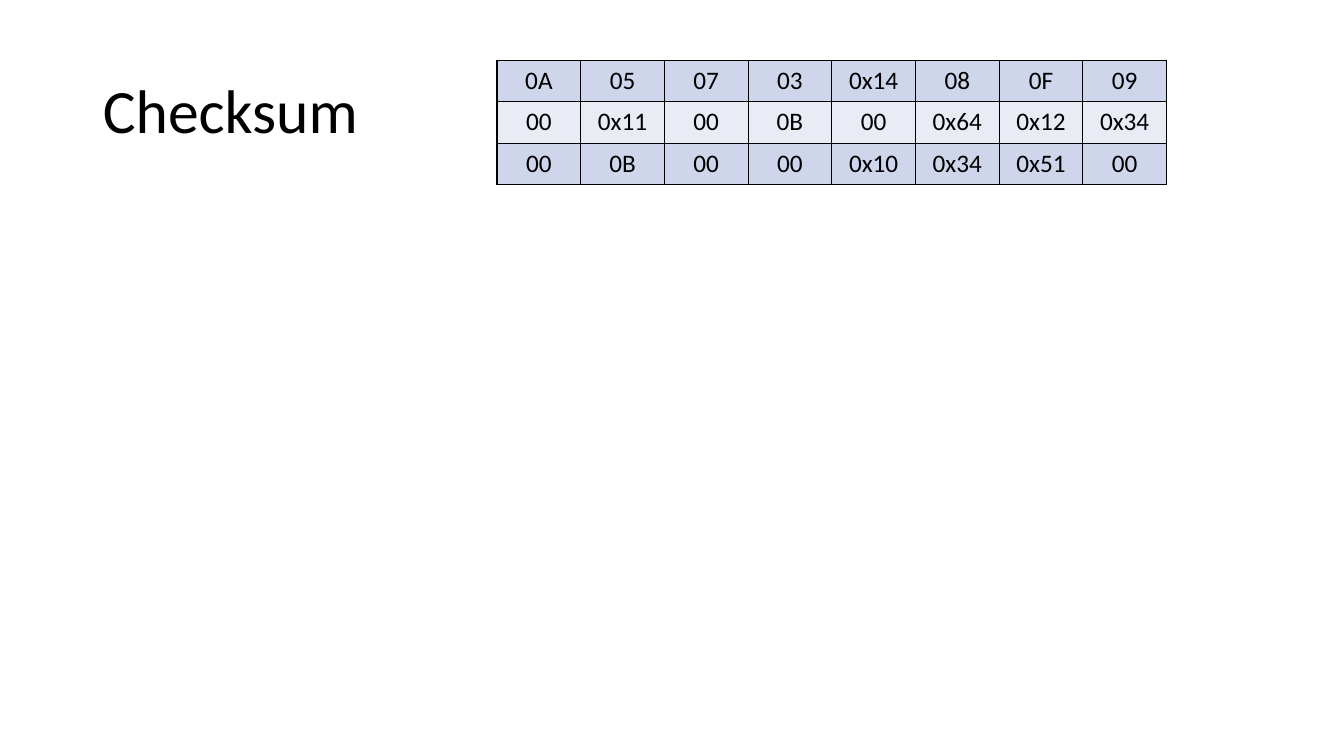
"""Build the Checksum slide: a title beside a grid of hexadecimal bytes."""
from dataclasses import dataclass

from lxml.etree import SubElement
from pptx import Presentation
from pptx.dml.color import RGBColor
from pptx.enum.text import MSO_ANCHOR, MSO_AUTO_SIZE, PP_ALIGN
from pptx.oxml.ns import qn
from pptx.slide import Slide
from pptx.table import _Cell as Cell
from pptx.text.text import _Paragraph as Paragraph
from pptx.util import Emu, Pt

EMU_PER_PX = 9144
BLACK = RGBColor(0x00, 0x00, 0x00)
BAND_DARK = RGBColor(0xCF, 0xD5, 0xEA)
BAND_LIGHT = RGBColor(0xE9, 0xEB, 0xF5)
FONT = "Calibri"


@dataclass(frozen=True)
class ByteRow:
    values: tuple[str, ...]
    fill: RGBColor


BYTE_ROWS = (
    ByteRow(("0A", "05", "07", "03", "0x14", "08", "0F", "09"), BAND_DARK),
    ByteRow(("00", "0x11", "00", "0B", "00", "0x64", "0x12", "0x34"), BAND_LIGHT),
    ByteRow(("00", "0B", "00", "00", "0x10", "0x34", "0x51", "00"), BAND_DARK),
)
BYTE_WIDTH, BYTE_HEIGHT = 83, 41


def px(length: int) -> Emu:
    return Emu(length * EMU_PER_PX)


def style(paragraph: Paragraph, size: int, align: PP_ALIGN) -> None:
    paragraph.alignment = align
    paragraph.font.name = FONT
    paragraph.font.size = Pt(size)
    paragraph.font.color.rgb = BLACK


def add_borders(cell: Cell) -> None:
    properties = cell._tc.get_or_add_tcPr()
    for side in ("a:lnL", "a:lnR", "a:lnT", "a:lnB"):
        border = SubElement(properties, qn(side), w=str(Pt(1)))
        solid = SubElement(border, qn("a:solidFill"))
        SubElement(solid, qn("a:srgbClr"), val=str(BLACK))


def add_title(slide: Slide, text: str) -> None:
    title = slide.shapes.title
    title.left, title.top = px(92), px(40)
    title.width, title.height = px(1150), px(145)
    frame = title.text_frame
    frame.text = text
    frame.auto_size = MSO_AUTO_SIZE.NONE
    frame.vertical_anchor = MSO_ANCHOR.MIDDLE
    heading = frame.paragraphs[0]
    heading.line_spacing = 0.9
    style(heading, 44, PP_ALIGN.LEFT)


def add_byte_grid(slide: Slide, rows: tuple[ByteRow, ...]) -> None:
    columns = len(rows[0].values)
    grid = slide.shapes.add_table(
        len(rows), columns, px(493), px(60),
        px(columns * BYTE_WIDTH), px(len(rows) * BYTE_HEIGHT),
    ).table
    grid.first_row = False
    grid.horz_banding = False
    for row_index, row in enumerate(rows):
        for column_index, value in enumerate(row.values):
            cell = grid.cell(row_index, column_index)
            cell.text = value
            style(cell.text_frame.paragraphs[0], 18, PP_ALIGN.CENTER)
            add_borders(cell)
            cell.fill.solid()
            cell.fill.fore_color.rgb = row.fill


def main() -> None:
    deck = Presentation()
    deck.slide_width, deck.slide_height = px(1333), px(750)
    slide = deck.slides.add_slide(deck.slide_layouts[5])
    add_title(slide, "Checksum")
    add_byte_grid(slide, BYTE_ROWS)
    deck.save("out.pptx")


if __name__ == "__main__":
    main()
